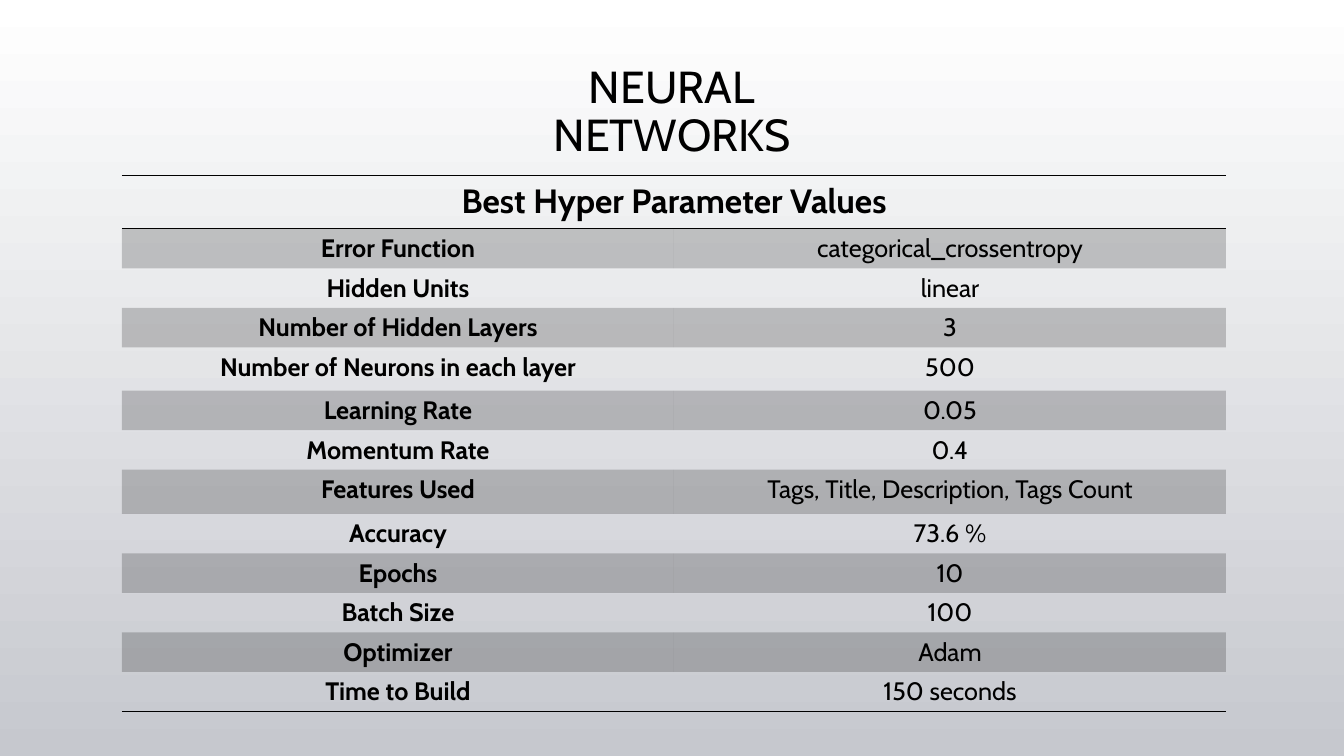
"""Builds a slide with the best hyper parameter values of a neural network."""
import lxml.etree
import pptx
import pptx.dml.color
import pptx.enum.text
import pptx.oxml
import pptx.oxml.ns
import pptx.util

Inches = pptx.util.Inches
Pt = pptx.util.Pt
qn = pptx.oxml.ns.qn

COLORS = {"ink": "000000", "sky": "FFFFFF", "ground": "C6C8CE"}
FONT = "Cabin"
BAND_OPACITY = 20
PLAIN_TABLE_STYLE = "{2D5ABB26-0587-4C30-8999-92F81FD0307C}"
HEADING = "Best Hyper Parameter Values"
PARAMETERS = [
    ("Error Function", "categorical_crossentropy"),
    ("Hidden Units", "linear"),
    ("Number of Hidden Layers", "3"),
    ("Number of Neurons in each layer", "500"),
    ("Learning Rate", "0.05"),
    ("Momentum Rate", "0.4"),
    ("Features Used", "Tags, Title, Description, Tags Count"),
    ("Accuracy", "73.6 %"),
    ("Epochs", "10"),
    ("Batch Size", "100"),
    ("Optimizer", "Adam"),
    ("Time to Build", "150 seconds"),
]
TABLE_HEIGHT = 5.32
SPECIAL_HEIGHTS = {0: 0.53, 4: 0.43, 7: 0.44}
CELL_FORMAT = {
    "margin_left": Inches(0.07),
    "margin_right": Inches(0.07),
    "margin_top": 0,
    "margin_bottom": 0,
    "vertical_anchor": pptx.enum.text.MSO_ANCHOR.TOP,
}


def rgb(color):
    """Return the named colour."""
    return pptx.dml.color.RGBColor.from_string(COLORS[color])


def apply_format(target, values):
    """Set each attribute in values on the target."""
    for attribute, value in values.items():
        setattr(target, attribute, value)


def write(frame, text, size, spacing, bold=False):
    """Write one centred paragraph into a text frame."""
    paragraph = frame.paragraphs[0]
    apply_format(paragraph, {"alignment": pptx.enum.text.PP_ALIGN.CENTER, "line_spacing": spacing})
    run = paragraph.add_run()
    run.text = text
    apply_format(run.font, {"name": FONT, "size": Pt(size), "bold": bold})
    run.font.color.rgb = rgb("ink")


def paint_background(slide):
    """Fill the slide from top to bottom with a gradient."""
    fill = slide.background.fill
    fill.gradient()
    fill.gradient_angle = 270
    for stop, color in zip(fill.gradient_stops, ("sky", "ground")):
        stop.color.rgb = rgb(color)


def add_title(slide, text):
    """Add the slide title."""
    title = slide.shapes.add_textbox(Inches(4.71), Inches(0.78), Inches(3.91), Inches(0.68))
    apply_format(title.text_frame, {
        "word_wrap": True,
        "vertical_anchor": pptx.enum.text.MSO_ANCHOR.MIDDLE,
    })
    write(title.text_frame, text, 32, 0.9)


def shade(cell, banded):
    """Give a cell a translucent band or no fill."""
    if not banded:
        cell.fill.background()
        return
    cell.fill.solid()
    cell.fill.fore_color.rgb = rgb("ink")
    tone = next(cell._tc.tcPr.iter(qn("a:srgbClr")))
    lxml.etree.SubElement(tone, qn("a:alpha"), val=str(BAND_OPACITY * 1000))


def add_rules(cell, sides):
    """Draw one-point rules on the given sides of a cell."""
    for position, side in enumerate(sides):
        rule = lxml.etree.Element(qn(f"a:ln{side}"), w=str(Pt(1)))
        solid = lxml.etree.SubElement(rule, qn("a:solidFill"))
        lxml.etree.SubElement(solid, qn("a:srgbClr"), val=COLORS["ink"])
        cell._tc.get_or_add_tcPr().insert(position, rule)


def add_parameter_table(slide):
    """Add the table of parameters under its merged heading."""
    row_count = len(PARAMETERS) + 1
    table = slide.shapes.add_table(
        row_count, 2, Inches(1.21), Inches(1.74), Inches(10.95), Inches(TABLE_HEIGHT)).table
    apply_format(table, {"first_row": False, "horz_banding": False})
    table._tbl.tblPr.find(qn("a:tableStyleId")).text = PLAIN_TABLE_STYLE
    regular_height = (TABLE_HEIGHT - sum(SPECIAL_HEIGHTS.values())) / (row_count - len(SPECIAL_HEIGHTS))
    rules = {0: "TB", row_count - 1: "B"}
    for index, texts in enumerate([(HEADING, ""), *PARAMETERS]):
        table.rows[index].height = Inches(SPECIAL_HEIGHTS.get(index, regular_height))
        for column, text in enumerate(texts):
            cell = table.cell(index, column)
            apply_format(cell, CELL_FORMAT)
            shade(cell, index % 2 == 1)
            add_rules(cell, rules.get(index, ""))
            if text:
                write(cell.text_frame, text, 18 if index else 24, 1.15, bold=column == 0)
    table.cell(0, 0).merge(table.cell(0, 1))


def main():
    """Build and save the slide."""
    presentation = pptx.Presentation()
    apply_format(presentation, {"slide_width": Inches(13.33), "slide_height": Inches(7.5)})
    slide = presentation.slides.add_slide(presentation.slide_layouts[6])
    paint_background(slide)
    add_title(slide, "NEURAL NETWORKS")
    add_parameter_table(slide)
    presentation.save("out.pptx")


if __name__ == "__main__":
    main()
